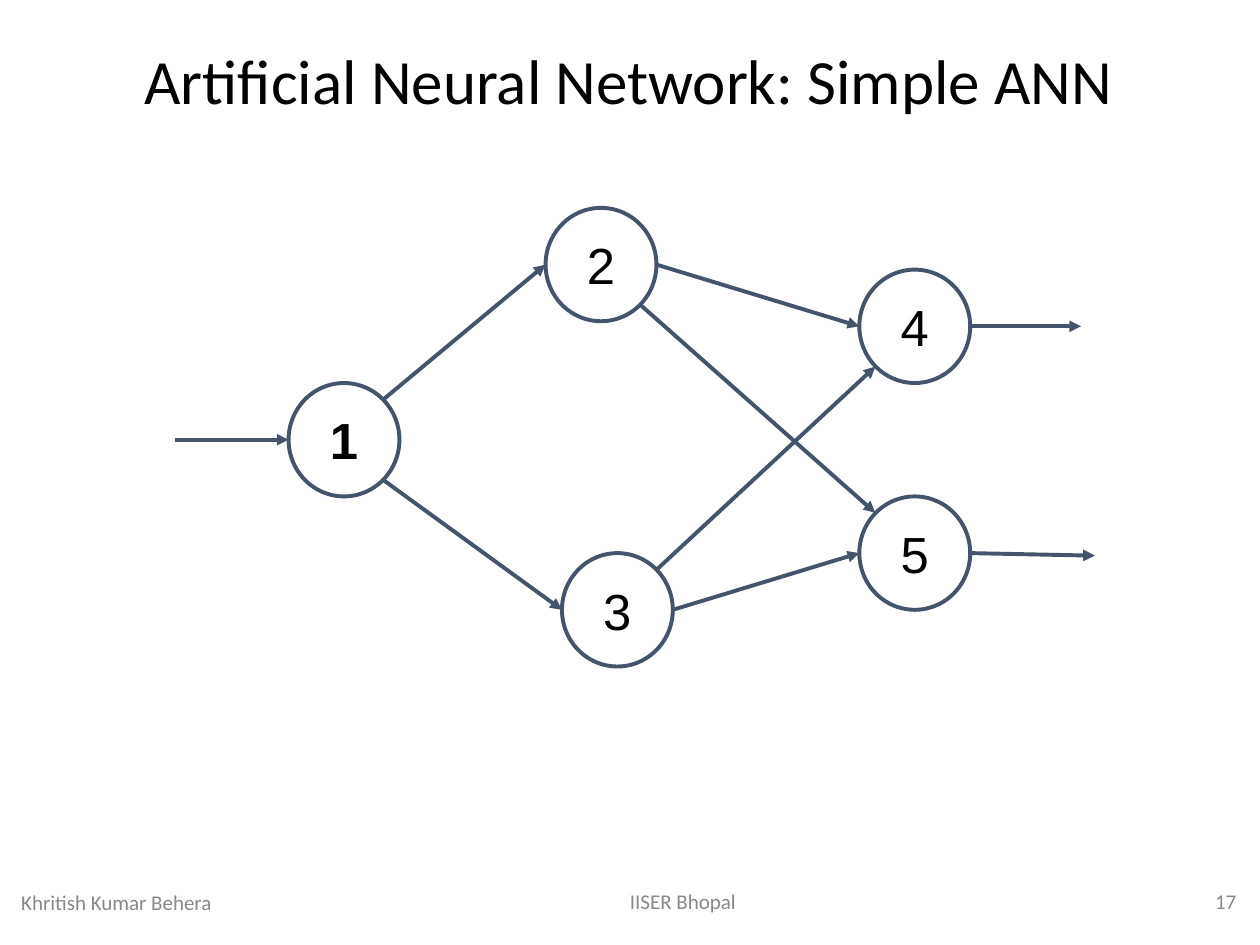
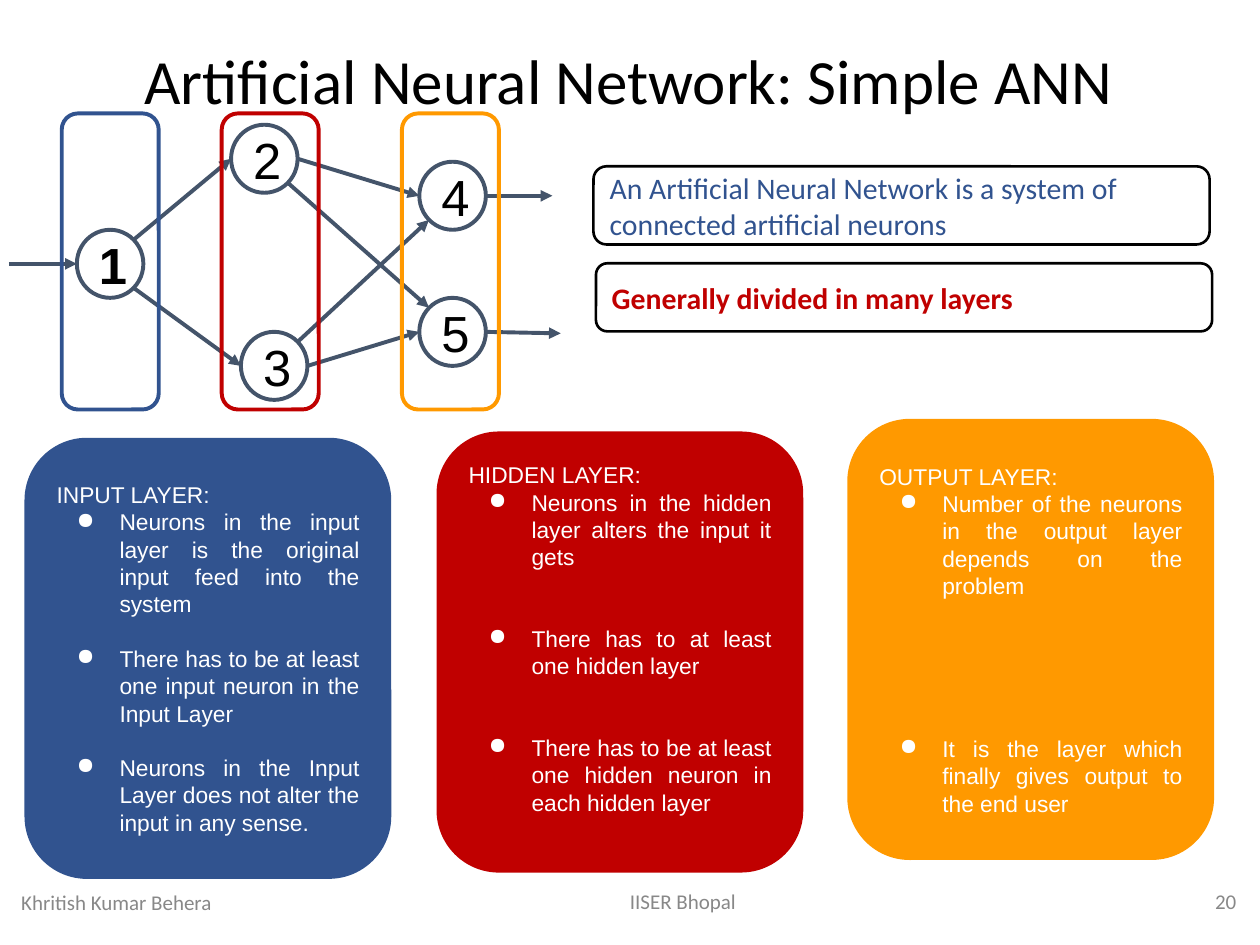
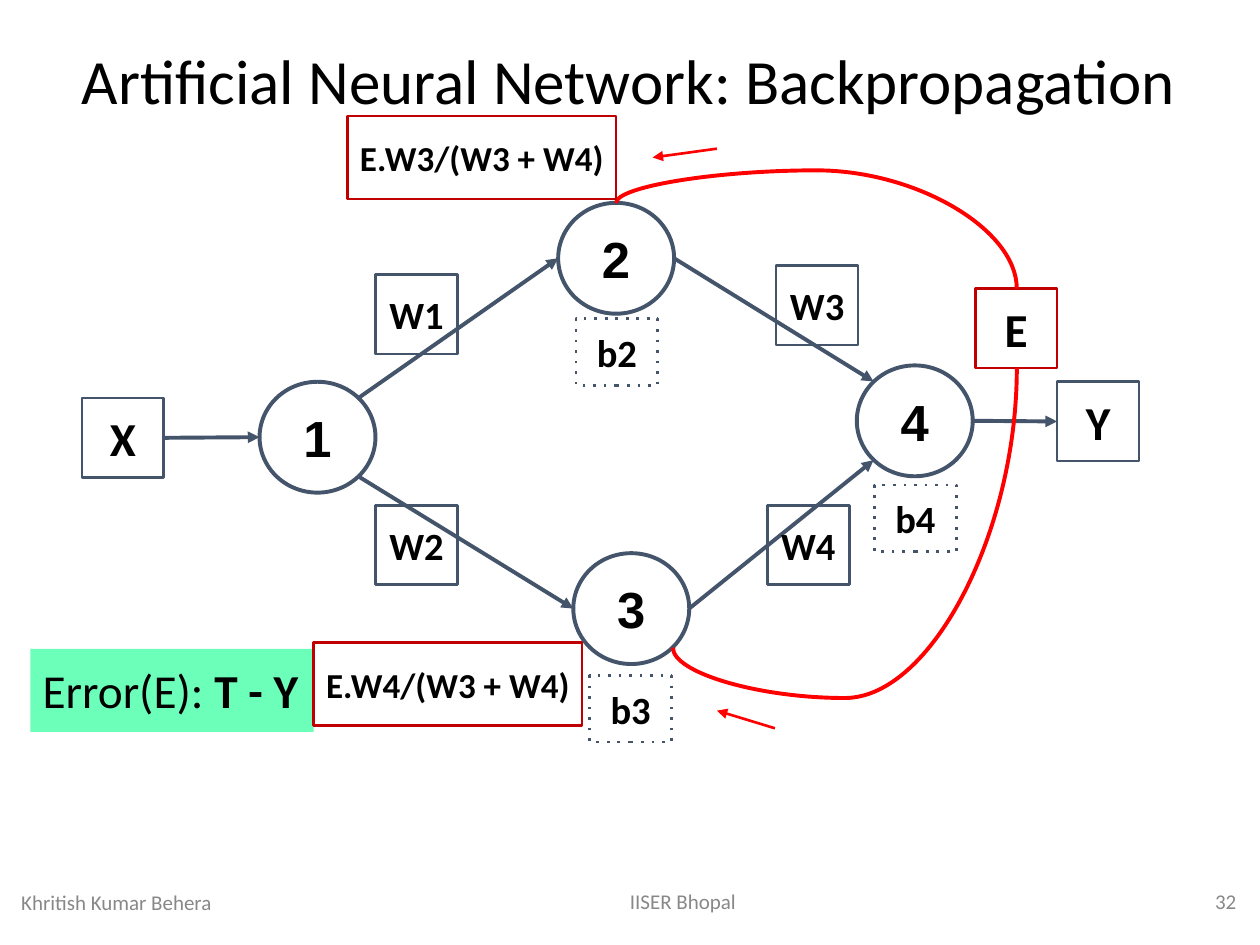
from collections import namedtuple
from dataclasses import dataclass

from lxml.etree import SubElement
from pptx import Presentation
from pptx.dml.color import RGBColor
from pptx.enum.shapes import MSO_CONNECTOR, MSO_SHAPE
from pptx.enum.text import MSO_ANCHOR, PP_ALIGN
from pptx.oxml.ns import qn
from pptx.util import Inches, Pt

Box = namedtuple("Box", "x y w h")


@dataclass(frozen=True)
class Theme:
    """Colours, fonts and type sizes of the deck."""

    ink: str = "000000"
    paper: str = "FFFFFF"
    gray: str = "888888"
    slate: str = "44546A"
    blue: str = "31538F"
    crimson: str = "C00000"
    orange: str = "FF9900"
    red: str = "FF0000"
    mint: str = "00FF87"
    sans: str = "Calibri"
    plain: str = "Arial"
    title: int = 36
    digit: int = 29
    large: int = 27
    label: int = 22
    sum: int = 20
    note: int = 17
    body: int = 13
    foot: int = 12
    thick: float = 2.25
    thin: float = 1.5


T = Theme()
SIDES = {"l": (-1, 0), "r": (1, 0), "ul": (-0.71, -0.71), "ur": (0.71, -0.71),
         "dl": (-0.71, 0.71), "dr": (0.71, 0.71)}

LAYERS = {"1": (0.9, 1.39), "2": (2.94, 0), "3": (3.07, 2.74),
          "4": (5.43, 0.49), "5": (5.43, 2.29)}
LINKS = [("1ur", "2l"), ("1dr", "3l"), ("2dr", "5ul"), ("2r", "4l"),
         ("3ur", "4dl"), ("3r", "5l"), ((0, 1.84), "1l"),
         ("4r", (7.19, 0.94)), ("5r", (7.3, 2.76))]

CARDS = [
    (T.blue, 0, 0.15, 1, 0, "INPUT LAYER:", [
        "Neurons in the input layer is the original input feed into the system",
        "There has to be at least one input neuron in the Input Layer",
        "Neurons in the Input Layer does not alter the input in any sense."]),
    (T.crimson, 3.27, 0.1, 2, 1, "HIDDEN LAYER:", [
        "Neurons in the hidden layer alters the input it gets",
        "There has to at least one hidden layer",
        "There has to be at least one hidden neuron in each hidden layer"]),
    (T.orange, 6.53, 0, 5, 0, "OUTPUT LAYER:", [
        "Number of the neurons in the output layer depends on the problem",
        "It is the layer which finally gives output to the end user"]),
]

RING = {"1": (1.82, 2.11), "2": (4.19, 0.69), "3": (4.31, 3.47), "4": (6.56, 1.98)}
PATHS = [("1ur", "2l"), ("1dr", "3l"), ("2r", "4ul"), ("3r", "4dl")]
WEIGHTS = {"W1": (2.74, 1.26), "W3": (5.92, 1.19), "W2": (2.74, 3.09), "W4": (5.85, 3.09)}
BIASES = {"b2": (4.33, 1.61), "b3": (4.44, 4.44), "b4": (6.7, 2.93)}
SHARES = {"E.W3/(W3 + W4)": (2.52, 0), "E.W4/(W3 + W4)": (2.25, 4.18)}


def inch(*sizes):
    """Turn numbers into lengths."""
    return [Inches(size) for size in sizes]


def write(shape, text, size=T.body, font=T.sans, color=T.ink, bold=False,
          align=PP_ALIGN.LEFT, gap=0, bullet=False, join=False):
    """Add text to a shape, as a new paragraph or joined to the last one."""
    frame = shape.text_frame
    para = frame.paragraphs[-1]
    if frame.text and not join:
        para = frame.add_paragraph()
    if not join:
        para.alignment = align
        para.space_before = Pt(gap)
    if bullet:
        props = para._p.get_or_add_pPr()
        props.set("marL", str(Inches(0.5)))
        props.set("indent", str(Inches(-0.34)))
        tint = SubElement(props, qn("a:buClr"))
        SubElement(tint, qn("a:srgbClr"), val=color)
        SubElement(props, qn("a:buChar"), char="●")
    run = para.add_run()
    run.text = text
    run.font.size, run.font.name, run.font.bold = Pt(size), font, bold
    run.font.color.rgb = RGBColor.from_string(color)


def frame_up(shape, pad=0.1, anchor=MSO_ANCHOR.MIDDLE, wrap=True):
    """Set the insets, anchor and wrap of a shape's text."""
    frame = shape.text_frame
    frame.word_wrap, frame.vertical_anchor = wrap, anchor
    frame.margin_left = frame.margin_right = Inches(0.1)
    frame.margin_top = frame.margin_bottom = Inches(pad)


def draw(page, kind, box, fill=None, line=None, width=T.thick, wrap=True,
         anchor=MSO_ANCHOR.MIDDLE):
    """Draw a preset shape with the given fill and line."""
    shape = page.shapes.add_shape(kind, *inch(*box))
    shape.shadow.inherit = False
    if fill:
        shape.fill.solid()
        shape.fill.fore_color.rgb = RGBColor.from_string(fill)
    else:
        shape.fill.background()
    if line:
        shape.line.color.rgb = RGBColor.from_string(line)
        shape.line.width = Pt(width)
    else:
        shape.line.fill.background()
    frame_up(shape, wrap=wrap, anchor=anchor)
    return shape


def link(page, start, end, color=T.slate, width=T.thick, arrow=True,
         kind=MSO_CONNECTOR.STRAIGHT):
    """Draw a connector between two points."""
    wire = page.shapes.add_connector(kind, *inch(*start, *end))
    wire.line.color.rgb = RGBColor.from_string(color)
    wire.line.width = Pt(width)
    props = wire.element.spPr
    if arrow:
        SubElement(props.find(qn("a:ln")), qn("a:tailEnd"), type="triangle")
    SubElement(props, qn("a:effectLst"))
    return wire


def bend(page, start, end, bulge):
    """Draw a red curve that leaves and arrives upright."""
    (ax, ay), (bx, by) = start, end
    wide, high = abs(by - ay), abs(bx - ax)
    left, top = (ax + bx - wide) / 2, (ay + by - high) / 2
    wire = link(page, (left, top), (left + wide, top + high), T.red,
                arrow=False, kind=MSO_CONNECTOR.CURVE)
    props = wire.element.spPr
    form = props.find(qn("a:xfrm"))
    form.set("rot", str(90 * 60000))
    if by < ay:
        form.set("flipH", "1")
    SubElement(props.find(qn("a:prstGeom")).find(qn("a:avLst")), qn("a:gd"),
               name="adj1", fmla=f"val {round(bulge * 100000)}")


def graph(page, box, nodes, links, size, scale=1, bold="1"):
    """Draw numbered nodes and their arrows from the box's corner."""
    wide, high = size

    def place(x, y):
        """Give the page point for a point of the graph."""
        return box.x + x * scale, box.y + y * scale

    def port(spot):
        """Give the page point of a node's side or of a free end."""
        if isinstance(spot, tuple):
            return place(*spot)
        (x, y), (dx, dy) = nodes[spot[0]], SIDES[spot[1:]]
        return place(x + wide * (1 + dx) / 2, y + high * (1 + dy) / 2)

    for name, spot in nodes.items():
        node = draw(page, MSO_SHAPE.OVAL, (*place(*spot), wide * scale, high * scale),
                    line=T.slate)
        write(node, name, size=T.digit, font=T.plain, bold=name in bold,
              align=PP_ALIGN.CENTER)
    for start, end in links:
        link(page, port(start), port(end))


def tag(page, box, text, size=T.label, line=T.slate, dots=False):
    """Draw a framed bold label."""
    shape = draw(page, MSO_SHAPE.RECTANGLE, box, line=line, width=T.thin, wrap=False)
    if dots:
        SubElement(shape.element.spPr.find(qn("a:ln")), qn("a:prstDash"), val="dot")
    write(shape, text, size=size, bold=True, align=PP_ALIGN.CENTER)
    return shape


def base(deck, title, number):
    """Add a page with its title and footers."""
    page = deck.slides.add_slide(deck.slide_layouts[6])
    parts = [
        (Box(0.07, 0.28, 9.84, 0.71), title, T.title, T.ink, PP_ALIGN.CENTER),
        (Box(3.73, 6.95, 3.38, 0.4), "IISER Bhopal", T.foot, T.gray, PP_ALIGN.CENTER),
        (Box(7.66, 6.95, 2.25, 0.4), str(number), T.foot, T.gray, PP_ALIGN.RIGHT),
        (Box(0.07, 6.96, 3.38, 0.4), "Khritish Kumar Behera", T.foot, T.gray, PP_ALIGN.LEFT),
    ]
    for box, text, size, color, align in parts:
        label = page.shapes.add_textbox(*inch(*box))
        top = size == T.title
        frame_up(label, 0.05, MSO_ANCHOR.TOP if top else MSO_ANCHOR.MIDDLE)
        write(label, text, size=size, color=color, align=align)
    return page


def notes(page, box):
    """Draw the two framed statements."""
    rows = [
        (0, 0, 0.62, "An Artificial Neural Network is a system of connected artificial neurons",
         T.blue, False),
        (0.02, 0.77, 0.54, "Generally divided in many layers", T.crimson, True),
    ]
    for x, y, high, text, color, bold in rows:
        shape = draw(page, MSO_SHAPE.ROUNDED_RECTANGLE, (box.x + x, box.y + y, box.w, high),
                     T.paper, T.ink, T.thin)
        write(shape, text, size=T.note, color=color, bold=bold)


def bands(page, box):
    """Outline the three layers of the network."""
    for x, color in [(1.27, T.crimson), (0, T.blue), (2.7, T.orange)]:
        draw(page, MSO_SHAPE.ROUNDED_RECTANGLE, (box.x + x, box.y, 0.77, box.h), line=color)


def cards(page, box):
    """Draw one filled card of bullets for each layer."""
    pitch = 15.5
    for color, x, y, lines, tail, head, points in CARDS:
        card = draw(page, MSO_SHAPE.ROUNDED_RECTANGLE,
                    (box.x + x, box.y + y, 2.88, 3.47), color, color)
        card.text_frame.margin_bottom = Inches(0.1) + Pt(pitch * tail)
        style = dict(font=T.plain, color=T.paper, align=PP_ALIGN.JUSTIFY)
        write(card, head, **style)
        for order, point in enumerate(points):
            write(card, point, gap=pitch * lines if order else 0, bullet=True, **style)


def errors(page, box):
    """Draw the network with weights, biases and the error flowing back."""
    def at(x, y):
        """Give the page point for a point of the box."""
        return box.x + x, box.y + y

    graph(page, box, RING, PATHS, (0.92, 0.88), bold="1234")
    square, low, long = (0.65, 0.63), (0.65, 0.53), (2.13, 0.66)
    source = tag(page, (*at(0.41, 2.24), *square), "X", T.large)
    target = tag(page, (*at(8.15, 2.11), *square), "Y", T.large)
    link(page, at(1.05, 2.56), at(1.82, 2.55)).begin_connect(source, 3)
    link(page, at(7.48, 2.42), at(8.15, 2.42)).end_connect(target, 1)
    for text, spot in WEIGHTS.items():
        tag(page, (*at(*spot), *square), text)
    for text, spot in BIASES.items():
        tag(page, (*at(*spot), *low), text, dots=True)
    tag(page, (*at(7.5, 1.37), *square), "E", T.large, T.crimson)
    rule = draw(page, MSO_SHAPE.RECTANGLE, (*at(0, 4.23), 2.25, 0.66), T.mint,
                wrap=False, anchor=MSO_ANCHOR.TOP)
    tint = rule.element.spPr.find(qn("a:solidFill"))[0]
    SubElement(tint, qn("a:alpha"), val="58000")
    write(rule, "Error(E):", size=T.large)
    write(rule, " T - Y", size=T.large, bold=True, join=True)
    bend(page, at(7.83, 1.37), at(4.65, 0.69), 1.38)
    bend(page, at(7.83, 2), at(5.1, 4.22), 1.18)
    for text, spot in SHARES.items():
        tag(page, (*at(*spot), *long), text, T.sum, T.crimson)
    for start, end in [((5.45, 0.26), (4.94, 0.33)), ((5.91, 4.86), (5.45, 4.72))]:
        link(page, at(*start), at(*end), T.red, T.thin)


def main():
    """Build the deck and save it."""
    deck = Presentation()
    deck.slide_width, deck.slide_height = inch(10, 7.5)
    simple = "Artificial Neural Network: Simple ANN"

    page = base(deck, simple, 17)
    graph(page, Box(1.39, 1.65, 7.3, 3.64), LAYERS, LINKS, (0.88, 0.9))

    page = base(deck, simple, 20)
    graph(page, Box(0.07, 0.99, 4.38, 2.18), LAYERS, LINKS, (0.88, 0.9), scale=0.6)
    notes(page, Box(4.71, 1.32, 4.89, 1.31))
    bands(page, Box(0.49, 0.9, 3.47, 2.35))
    cards(page, Box(0.21, 3.34, 9.41, 3.62))

    page = base(deck, "Artificial Neural Network: Backpropagation", 32)
    errors(page, Box(0.24, 0.92, 8.8, 4.97))
    deck.save("out.pptx")


if __name__ == "__main__":
    main()
